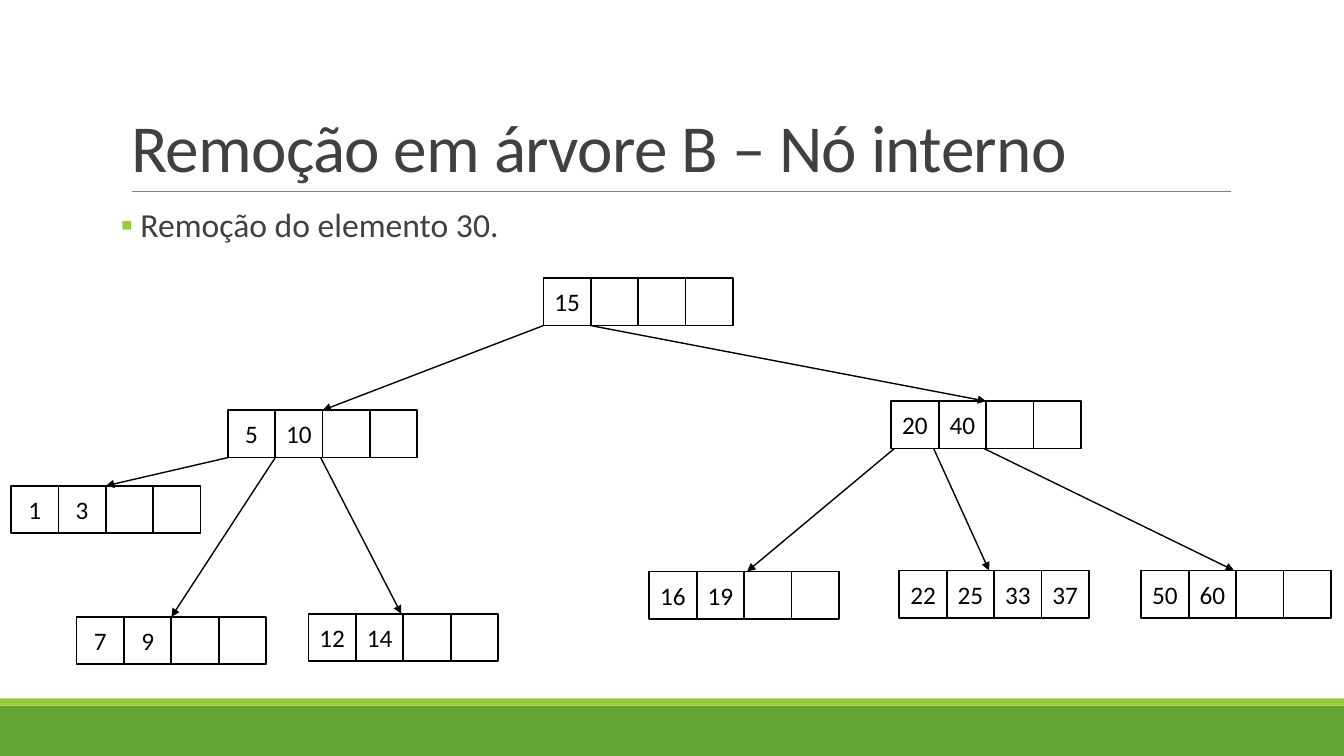
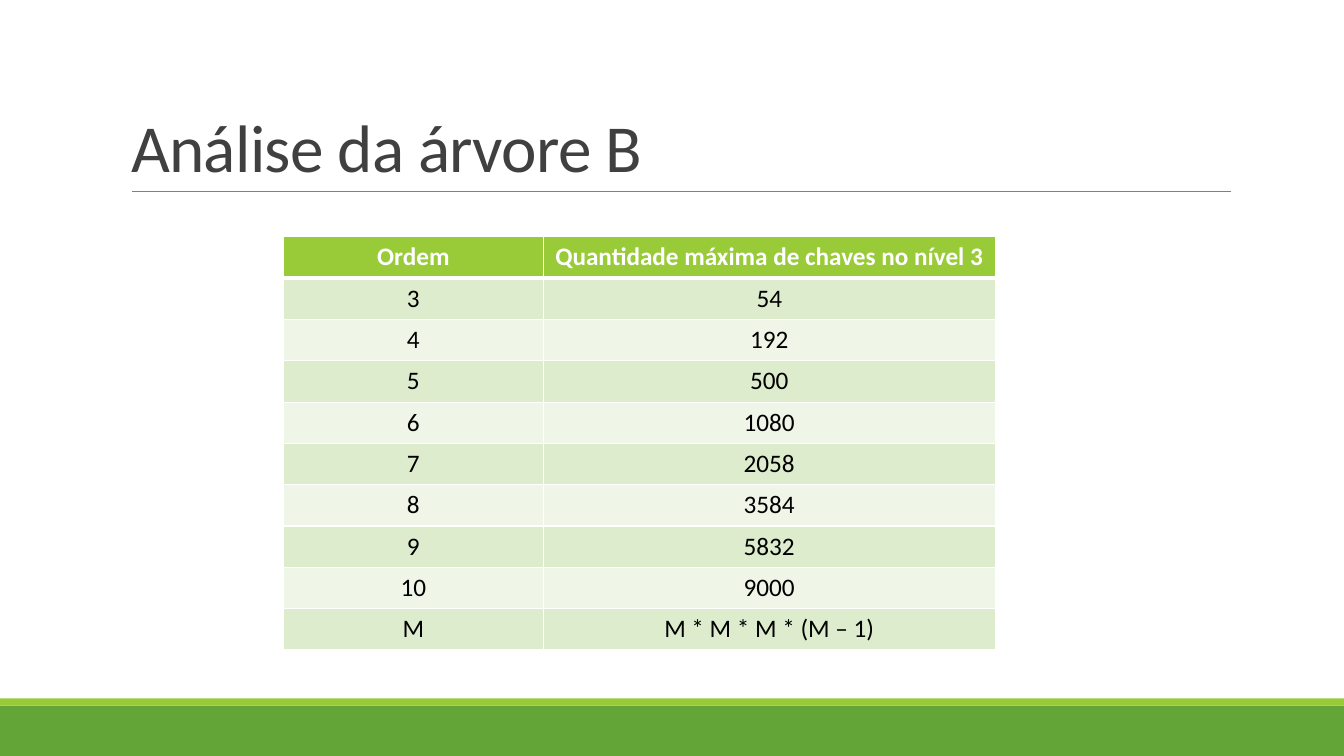
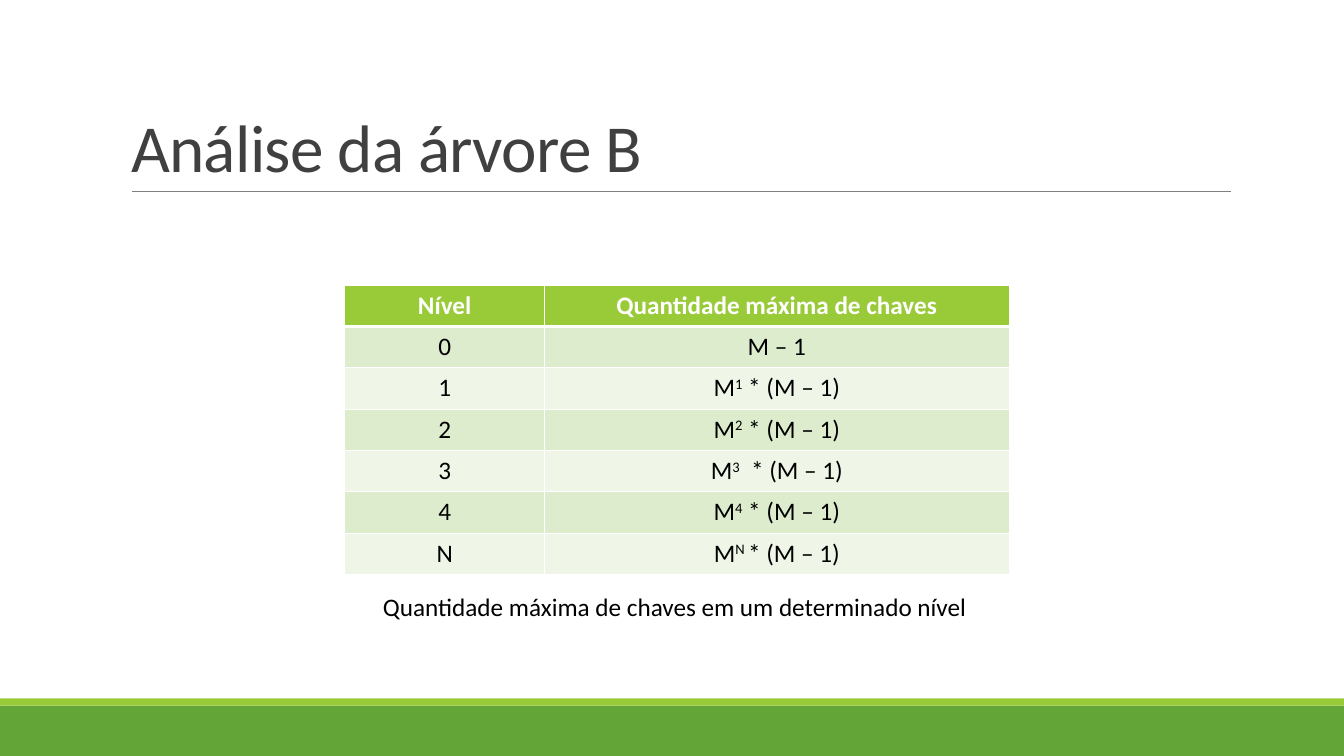
from lxml import etree
from pptx import Presentation
from pptx.dml.color import RGBColor
from pptx.enum.shapes import MSO_CONNECTOR, MSO_SHAPE
from pptx.enum.text import MSO_ANCHOR, MSO_AUTO_SIZE, PP_ALIGN
from pptx.oxml.ns import qn
from pptx.util import Inches, Pt

RECTANGLE = MSO_SHAPE.RECTANGLE
STRAIGHT = MSO_CONNECTOR.STRAIGHT
LEFT, CENTER = PP_ALIGN.LEFT, PP_ALIGN.CENTER
TOP, MIDDLE, BOTTOM = MSO_ANCHOR.TOP, MSO_ANCHOR.MIDDLE, MSO_ANCHOR.BOTTOM
NO_AUTOFIT = MSO_AUTO_SIZE.NONE
CONTENT_LAYOUT, TITLE_LAYOUT = 1, 5

FONT = "Calibri"
BLACK, WHITE, TEXT, GRAY = "000000", "FFFFFF", "404040", "808080"
GREEN, LIME = "63A537", "99CB38"
ROW_FILLS = ("DEECCE", "EFF6E8")

KEYS_PER_NODE = 4
CELL = 0.47
ROW_HEIGHT = 0.41

# name: (left, top, keys)
TREE_NODES = {
    "root": (5.39, 2.76, ["15"]),
    "low": (2.26, 4.07, ["5", "10"]),
    "high": (8.84, 3.98, ["20", "40"]),
    "low 0": (0.11, 4.82, ["1", "3"]),
    "low 1": (0.76, 6.12, ["7", "9"]),
    "low 2": (3.06, 6.09, ["12", "14"]),
    "high 0": (6.44, 5.67, ["16", "19"]),
    "high 1": (8.92, 5.66, ["22", "25", "33", "37"]),
    "high 2": (11.32, 5.66, ["50", "60"]),
}
# (parent, pointer slot, child, sideways shift)
TREE_EDGES = [
    ("root", 0, "low", 0),
    ("root", 1, "high", 0),
    ("low", 0, "low 0", 0),
    ("low", 1, "low 1", 0),
    ("low", 2, "low 2", -0.02),
    ("high", 0, "high 0", 0.03),
    ("high", 1, "high 1", -0.05),
    ("high", 2, "high 2", -0.02),
]

ORDER_ROWS = [
    ("Ordem", "Quantidade máxima de chaves no nível 3"),
    ("3", "54"),
    ("4", "192"),
    ("5", "500"),
    ("6", "1080"),
    ("7", "2058"),
    ("8", "3584"),
    ("9", "5832"),
    ("10", "9000"),
    ("M", "M * M * M * (M – 1)"),
]
# A tuple in a cell alternates normal and superscript runs.
LEVEL_ROWS = [
    ("Nível", "Quantidade máxima de chaves"),
    ("0", "M – 1"),
    ("1", ("M", "1", " * (M – 1)")),
    ("2", ("M", "2", " * (M – 1)")),
    ("3", ("M", "3", "  * (M – 1)")),
    ("4", ("M", "4", " * (M – 1)")),
    ("N", ("M", "N ", "* (M – 1)")),
]


def color(value):
    return RGBColor.from_string(value)


def box(*lengths):
    return [Inches(length) for length in lengths]


def add_colored(parent, tag, value):
    """Append an element that holds one RGB colour."""
    holder = etree.SubElement(parent, qn(tag))
    etree.SubElement(holder, qn("a:srgbClr"), val=value)


class Deck:
    """Holds the presentation, its style and the current slide."""

    def __init__(self):
        self.presentation = Presentation()
        self.presentation.slide_width = Inches(13.33)
        self.presentation.slide_height = Inches(7.5)
        self.slide = None

    def start_slide(self, title, layout=TITLE_LAYOUT):
        layouts = self.presentation.slide_layouts
        self.slide = self.presentation.slides.add_slide(layouts[layout])
        for placeholder in list(self.slide.placeholders):
            if placeholder.placeholder_format.idx >= 10:
                placeholder.element.getparent().remove(placeholder.element)
        self.rectangle(self.slide.shapes, (0, 7, 13.33, 0.5), GREEN)
        self.rectangle(self.slide.shapes, (0, 6.93, 13.33, 0.07), LIME)
        self.line((1.31, 1.9), (12.21, 1.9), GRAY, 0.5)
        self.title(title)

    def place(self, shape, area, anchor):
        shape.left, shape.top, shape.width, shape.height = box(*area)
        frame = shape.text_frame
        frame.word_wrap = True
        frame.auto_size = NO_AUTOFIT
        frame.vertical_anchor = anchor
        return frame

    def run(self, paragraph, text, size=18, ink=BLACK, bold=False):
        run = paragraph.add_run()
        run.text = text
        run.font.name = FONT
        run.font.size = Pt(size)
        run.font.bold = bold
        run.font.color.rgb = color(ink)
        return run

    def title(self, text):
        frame = self.place(self.slide.shapes.title, (1.2, 0.31, 11, 1.59), BOTTOM)
        paragraph = frame.paragraphs[0]
        paragraph.alignment = LEFT
        paragraph.line_spacing = 0.85
        run = self.run(paragraph, text, 48, TEXT)
        run.font._element.set("spc", "-50")

    def bullet(self, text):
        frame = self.place(self.slide.placeholders[1], (1.2, 2.02, 11, 4.4), TOP)
        frame.margin_left = frame.margin_right = 0
        paragraph = frame.paragraphs[0]
        paragraph.line_spacing = 0.9
        paragraph.space_before = Pt(12)
        paragraph.space_after = Pt(2)
        self.run(paragraph, text, 24, TEXT)
        properties = paragraph._p.get_or_add_pPr()
        properties.set("marL", str(Inches(0.1)))
        properties.set("indent", str(Inches(-0.1)))
        add_colored(properties, "a:buClr", LIME)
        etree.SubElement(properties, qn("a:buFont"), typeface=FONT)
        etree.SubElement(properties, qn("a:buChar"), char="▪")

    def rectangle(self, shapes, area, fill, outline=None):
        shape = shapes.add_shape(RECTANGLE, *box(*area))
        shape.shadow.inherit = False
        shape.fill.solid()
        shape.fill.fore_color.rgb = color(fill)
        if outline:
            shape.line.color.rgb = color(outline)
            shape.line.width = Pt(1.25)
        else:
            shape.line.fill.background()
        return shape

    def line(self, start, end, ink, width, arrow=False):
        connector = self.slide.shapes.add_connector(STRAIGHT, *box(*start, *end))
        connector.line.color.rgb = color(ink)
        connector.line.width = Pt(width)
        if arrow:
            outline = connector.line._get_or_add_ln()
            etree.SubElement(outline, qn("a:tailEnd"), type="triangle")
        etree.SubElement(connector._element.spPr, qn("a:effectLst"))

    def node(self, left, top, keys):
        """Draw a tree node as a group of key cells, the unused ones empty."""
        group = self.slide.shapes.add_group_shape()
        for index in range(KEYS_PER_NODE):
            area = (left + index * CELL, top, CELL, CELL)
            shape = self.rectangle(group.shapes, area, WHITE, BLACK)
            if index < len(keys):
                frame = shape.text_frame
                frame.margin_left = frame.margin_right = 0
                frame.vertical_anchor = MIDDLE
                frame.paragraphs[0].alignment = CENTER
                self.run(frame.paragraphs[0], keys[index])

    def edge(self, parent, slot, child, shift):
        """Join a pointer slot of the parent to the top centre of the child."""
        start = (parent[0] + slot * CELL + shift, parent[1] + CELL)
        end = (child[0] + KEYS_PER_NODE / 2 * CELL + shift, child[1])
        self.line(start, end, BLACK, 1, arrow=True)

    def borders(self, cell, top, bottom):
        properties = cell._tc.get_or_add_tcPr()
        widths = {"a:lnL": 1, "a:lnR": 1, "a:lnT": top, "a:lnB": bottom}
        for tag, width in widths.items():
            border = etree.SubElement(properties, qn(tag), w=str(Pt(width)))
            add_colored(border, "a:solidFill", WHITE)

    def table(self, left, top, column_widths, rows):
        area = box(left, top, sum(column_widths), ROW_HEIGHT * len(rows))
        frame = self.slide.shapes.add_table(len(rows), len(column_widths), *area)
        table = frame.table
        for column, width in zip(table.columns, column_widths):
            column.width = Inches(width)
        for row_index, row in enumerate(rows):
            header = row_index == 0
            fill = LIME if header else ROW_FILLS[(row_index - 1) % 2]
            for column_index, content in enumerate(row):
                cell = table.cell(row_index, column_index)
                self.borders(cell, 3 if row_index == 1 else 1, 3 if header else 1)
                cell.fill.solid()
                cell.fill.fore_color.rgb = color(fill)
                paragraph = cell.text_frame.paragraphs[0]
                paragraph.alignment = CENTER
                parts = (content,) if isinstance(content, str) else content
                for index, text in enumerate(parts):
                    ink = WHITE if header else BLACK
                    run = self.run(paragraph, text, ink=ink, bold=header)
                    if index % 2:
                        run.font._element.set("baseline", "30000")

    def caption(self, area, text):
        frame = self.slide.shapes.add_textbox(*box(*area)).text_frame
        frame.word_wrap = False
        self.run(frame.paragraphs[0], text)


def main():
    deck = Deck()

    deck.start_slide("Remoção em árvore B – Nó interno", CONTENT_LAYOUT)
    deck.bullet(" Remoção do elemento 30.")
    for node in TREE_NODES.values():
        deck.node(*node)
    for parent, slot, child, shift in TREE_EDGES:
        deck.edge(TREE_NODES[parent], slot, TREE_NODES[child], shift)

    deck.start_slide("Análise da árvore B")
    deck.table(2.81, 2.35, (2.58, 4.48), ORDER_ROWS)

    deck.start_slide("Análise da árvore B")
    deck.table(3.42, 2.83, (1.98, 4.61), LEVEL_ROWS)
    deck.caption((3.7, 5.82, 6, 0.4),
                 "Quantidade máxima de chaves em um determinado nível")

    deck.presentation.save("out.pptx")


if __name__ == "__main__":
    main()
